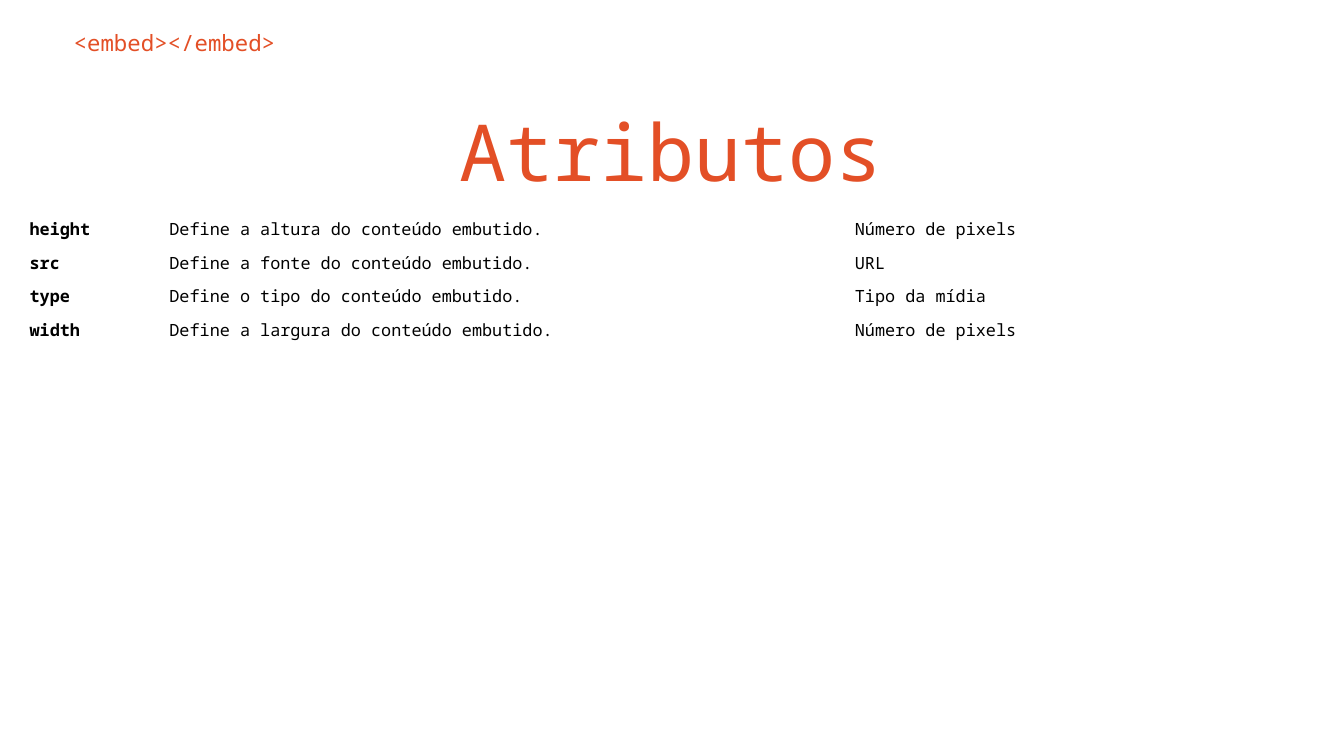
from dataclasses import dataclass

import pptx
import pptx.dml.color
import pptx.enum.text
import pptx.util

Pt = pptx.util.Pt
ORANGE = pptx.dml.color.RGBColor(0xE3, 0x4F, 0x26)
BLACK = pptx.dml.color.RGBColor(0x00, 0x00, 0x00)
FONT = "Noto Sans Mono"
LEFT = pptx.enum.text.PP_ALIGN.LEFT
CENTER = pptx.enum.text.PP_ALIGN.CENTER
MARGINS = ("margin_left", "margin_top", "margin_right", "margin_bottom")
COLUMN_WIDTHS = (74.9, 367.2, 242.6)
ROW_HEIGHT = 14.4


@dataclass(frozen=True)
class Heading:
    text: str
    left: float
    top: float
    width: float
    height: float
    size: float
    alignment: pptx.enum.text.PP_ALIGN


@dataclass(frozen=True)
class Attribute:
    name: str
    description: str
    value: str


TAG = Heading("<embed></embed>", 32.4, 9.4, 661, 30.2, 12, LEFT)
TITLE = Heading("Atributos", 51.1, 51.8, 617, 61.9, 42, CENTER)
ATTRIBUTES = (
    Attribute("height", "Define a altura do conteúdo embutido.", "Número de pixels"),
    Attribute("src", "Define a fonte do conteúdo embutido.", "URL"),
    Attribute("type", "Define o tipo do conteúdo embutido.", "Tipo da mídia"),
    Attribute("width", "Define a largura do conteúdo embutido.", "Número de pixels"),
)


def apply_format(target, values: dict) -> None:
    for name, value in values.items():
        setattr(target, name, value)


def write_text(frame, text: str, size: float, color, bold: bool = False) -> None:
    para = frame.paragraphs[0]
    span = para.add_run()
    span.text = text
    apply_format(span.font, {"name": FONT, "size": Pt(size), "bold": bold})
    span.font.color.rgb = color


def draw_heading(box, heading: Heading) -> None:
    apply_format(box, {
        "left": Pt(heading.left),
        "top": Pt(heading.top),
        "width": Pt(heading.width),
        "height": Pt(heading.height),
    })
    frame = box.text_frame
    apply_format(frame, {
        "word_wrap": True,
        "auto_size": pptx.enum.text.MSO_AUTO_SIZE.NONE,
        "vertical_anchor": pptx.enum.text.MSO_ANCHOR.TOP,
        **dict.fromkeys(MARGINS, Pt(7.2)),
    })
    write_text(frame, heading.text, heading.size, ORANGE)
    apply_format(frame.paragraphs[0], {"alignment": heading.alignment, "line_spacing": 0.95})


def draw_table(page, attributes: tuple[Attribute, ...]) -> None:
    table = page.shapes.add_table(
        len(attributes), len(COLUMN_WIDTHS), Pt(13), Pt(113.8),
        Pt(sum(COLUMN_WIDTHS)), Pt(ROW_HEIGHT * len(attributes)),
    ).table
    apply_format(table, {"first_row": False, "horz_banding": False})
    for column, width in zip(table.columns, COLUMN_WIDTHS):
        column.width = Pt(width)
    for row, attribute in zip(table.rows, attributes):
        row.height = Pt(ROW_HEIGHT)
        texts = (attribute.name, attribute.description, attribute.value)
        for index, (cell, text) in enumerate(zip(row.cells, texts)):
            apply_format(cell, dict.fromkeys(MARGINS, Pt(2.88)))
            cell.fill.background()
            write_text(cell.text_frame, text, 9, BLACK, bold=index == 0)


def main() -> None:
    deck = pptx.Presentation()
    apply_format(deck, {"slide_width": Pt(720), "slide_height": Pt(405)})
    page = deck.slides.add_slide(deck.slide_layouts[5])
    draw_heading(page.shapes.add_textbox(0, 0, 0, 0), TAG)
    draw_heading(page.shapes.title, TITLE)
    draw_table(page, ATTRIBUTES)
    deck.save("out.pptx")


if __name__ == "__main__":
    main()
